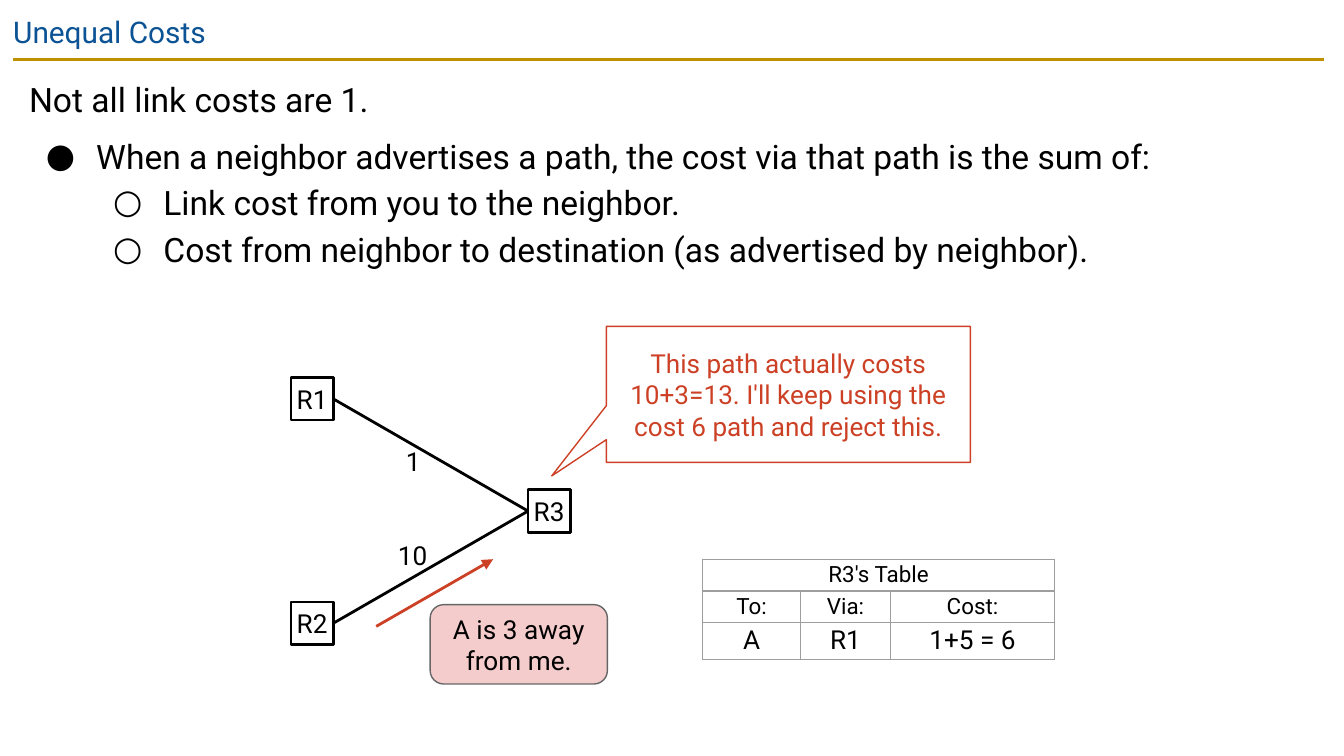
from pptx import Presentation
from pptx.dml.color import RGBColor
from pptx.enum.shapes import MSO_CONNECTOR, MSO_SHAPE
from pptx.enum.text import MSO_ANCHOR, MSO_AUTO_SIZE, PP_ALIGN
from pptx.oxml.ns import qn
from pptx.util import Cm, Pt
from lxml.etree import SubElement

FONT = "Roboto"
BLACK = RGBColor(0x00, 0x00, 0x00)
WHITE = RGBColor(0xFF, 0xFF, 0xFF)
BLUE = RGBColor(0x0B, 0x53, 0x94)
GOLD = RGBColor(0xBF, 0x90, 0x00)
RED = RGBColor(0xCC, 0x41, 0x25)
PINK = RGBColor(0xF4, 0xCC, 0xCC)
GREY = RGBColor(0x66, 0x66, 0x66)
LIGHT_GREY = RGBColor(0x9E, 0x9E, 0x9E)

INSET = 0.25
ROUTER_SIDE = 0.8


def write(paragraph, text, size=14, color=BLACK, align=PP_ALIGN.LEFT):
    paragraph.alignment = align
    run = paragraph.add_run()
    run.text = text
    run.font.name = FONT
    run.font.size = Pt(size)
    run.font.color.rgb = color


def set_frame(frame, inset=0, anchor=MSO_ANCHOR.TOP, wrap=True):
    frame.margin_left = frame.margin_right = Cm(inset)
    frame.margin_top = frame.margin_bottom = Cm(inset)
    frame.vertical_anchor = anchor
    frame.word_wrap = wrap
    frame.auto_size = MSO_AUTO_SIZE.NONE


def add_bullet(paragraph, char, level):
    paragraph.level = level
    properties = paragraph._p.get_or_add_pPr()
    properties.set("marL", str(Cm(1.27 * (level + 1))))
    properties.set("indent", str(Cm(-0.95)))
    bullet_color = SubElement(properties, qn("a:buClr"))
    SubElement(bullet_color, qn("a:srgbClr"), val=str(BLACK))
    SubElement(properties, qn("a:buFont"), typeface=FONT)
    SubElement(properties, qn("a:buChar"), char=char)


def add_title(slide, text):
    title = slide.shapes.title
    title.left, title.top, title.width, title.height = Cm(0), Cm(0), Cm(25.4), Cm(1.09)
    set_frame(title.text_frame, INSET)
    write(title.text_frame.paragraphs[0], text, size=16, color=BLUE)


def add_body(slide, lines):
    """Lines are (text, bullet character or None, level, space before)."""
    box = slide.shapes.add_textbox(Cm(0.3), Cm(1.12), Cm(24.74), Cm(5.03))
    frame = box.text_frame
    set_frame(frame, INSET)
    for index, (text, bullet, level, space) in enumerate(lines):
        paragraph = frame.add_paragraph() if index else frame.paragraphs[0]
        paragraph.line_spacing = 1.15
        paragraph.space_before = Pt(space)
        if bullet:
            add_bullet(paragraph, bullet, level)
        write(paragraph, text, size=18)


def add_box(slide, preset, left, top, width, height, text, fill=None,
            line=BLACK, line_width=0.75, color=BLACK, inset=0, adjustments=()):
    box = slide.shapes.add_shape(preset, Cm(left), Cm(top), Cm(width), Cm(height))
    box.shadow.inherit = False
    for index, value in enumerate(adjustments):
        box.adjustments[index] = value
    if fill is None:
        box.fill.background()
    else:
        box.fill.solid()
        box.fill.fore_color.rgb = fill
    box.line.color.rgb = line
    box.line.width = Pt(line_width)
    set_frame(box.text_frame, inset, MSO_ANCHOR.MIDDLE)
    write(box.text_frame.paragraphs[0], text, color=color, align=PP_ALIGN.CENTER)
    return box


def add_router(slide, name, left, top):
    return add_box(slide, MSO_SHAPE.RECTANGLE, left, top, ROUTER_SIDE, ROUTER_SIDE,
                   name, fill=WHITE, line_width=1.5)


def add_line(slide, start=(0, 0), end=(0, 0), color=BLACK, arrow=False):
    line = slide.shapes.add_connector(
        MSO_CONNECTOR.STRAIGHT, *(Cm(value) for value in (*start, *end)))
    line.line.color.rgb = color
    line.line.width = Pt(1.5)
    if arrow:
        SubElement(line.line._get_or_add_ln(), qn("a:tailEnd"), type="triangle")
    SubElement(line._element.spPr, qn("a:effectLst"))
    return line


def add_link(slide, left_router, right_router):
    link = add_line(slide)
    link.begin_connect(left_router, 3)
    link.end_connect(right_router, 1)


def add_cost(slide, text, left, top, width):
    box = slide.shapes.add_textbox(Cm(left), Cm(top), Cm(width), Cm(0.6))
    set_frame(box.text_frame, wrap=False)
    write(box.text_frame.paragraphs[0], text)


def add_cell_borders(cell):
    properties = cell._tc.get_or_add_tcPr()
    for side in ("lnL", "lnR", "lnT", "lnB"):
        border = SubElement(properties, qn(f"a:{side}"), w=str(Pt(0.75)))
        fill = SubElement(border, qn("a:solidFill"))
        SubElement(fill, qn("a:srgbClr"), val=str(LIGHT_GREY))


def add_routing_table(slide, rows):
    widths = (1.85, 1.7, 3.1)
    heights = (0.6, 0.6, 0.69)
    sizes = (12, 12, 14)
    table = slide.shapes.add_table(len(rows), len(widths), Cm(13.28), Cm(10.57),
                                   Cm(sum(widths)), Cm(sum(heights))).table
    table.first_row = table.horz_banding = False
    for column, width in zip(table.columns, widths):
        column.width = Cm(width)
    table.cell(0, 0).merge(table.cell(0, 2))
    for row, texts, height, size in zip(table.rows, rows, heights, sizes):
        row.height = Cm(height)
        for cell, text in zip(row.cells, texts):
            cell.margin_left = cell.margin_right = 0
            cell.margin_top = cell.margin_bottom = Cm(0.05)
            cell.vertical_anchor = MSO_ANCHOR.MIDDLE
            add_cell_borders(cell)
            cell.fill.background()
            if text:
                write(cell.text_frame.paragraphs[0], text, size=size,
                      align=PP_ALIGN.CENTER)


def main():
    presentation = Presentation()
    presentation.slide_width, presentation.slide_height = Cm(25.4), Cm(14.29)
    slide = presentation.slides.add_slide(presentation.slide_layouts[5])

    add_line(slide, (0.25, 1.12), (25.02, 1.12), GOLD)
    add_title(slide, "Unequal Costs")
    add_body(slide, [
        ("Not all link costs are 1.", None, 0, 0),
        ("When a neighbor advertises a path, the cost via that path is the sum of:",
         "●", 0, 6),
        ("Link cost from you to the neighbor.", "○", 1, 0),
        ("Cost from neighbor to destination (as advertised by neighbor).", "○", 1, 0),
    ])

    r3 = add_router(slide, "R3", 9.98, 9.26)
    for name, top in (("R1", 7.14), ("R2", 11.38)):
        add_link(slide, add_router(slide, name, 5.5, top), r3)
    add_cost(slide, "1", 7.67, 8.41, 0.33)
    add_cost(slide, "10", 7.52, 10.19, 0.58)

    add_routing_table(slide, [
        ("R3's Table", "", ""),
        ("To:", "Via:", "Cost:"),
        ("A", "R1", "1+5 = 6"),
    ])

    add_box(slide, MSO_SHAPE.ROUNDED_RECTANGLE, 8.13, 11.43, 3.35, 1.5,
            "A is 3 away from me.", fill=PINK, line=GREY, adjustments=(0.17,))
    add_line(slide, (7.11, 11.84), (9.32, 10.57), RED, arrow=True)
    add_box(slide, MSO_SHAPE.ROUNDED_RECTANGULAR_CALLOUT, 11.46, 6.17, 6.88, 2.57,
            "This path actually costs 10+3=13. I'll keep using the cost 6 path "
            "and reject this.", line=RED, color=RED, inset=INSET,
            adjustments=(-0.65, 0.6, 0))

    presentation.save("out.pptx")


if __name__ == "__main__":
    main()
